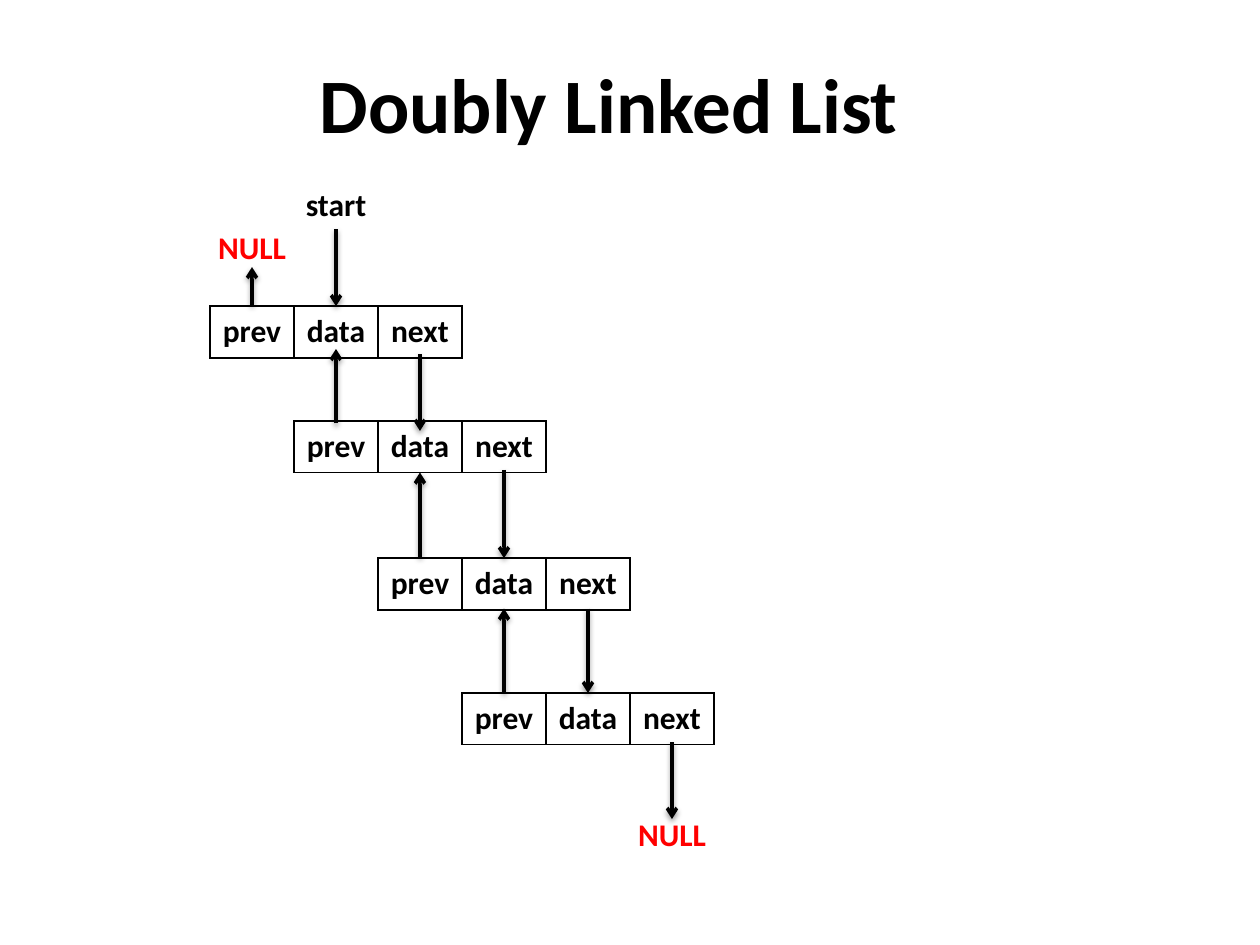
from lxml import etree
from pptx import Presentation
from pptx import util as u
from pptx.dml.color import RGBColor
from pptx.enum import shapes, text
from pptx.oxml import parse_xml
from pptx.oxml.ns import nsdecls, qn

COLUMN = 2 / 3
ROW = 0.41
FIELDS = ("prev", "data", "next")
NODE_TOPS = (2.43, 3.34, 4.43, 5.5)
NEXT_ARROWS = ((2.81, 3.42), (3.73, 4.43), (4.83, 5.5), (5.89, 6.5))
PREV_ARROWS = ((2.42, 2.12), (3.36, 2.77), (4.42, 3.75), (5.5, 4.83))
BLACK = "000000"
RED = "FF0000"


def color(value):
    """Turn a hex string into a colour."""
    return RGBColor.from_string(value)


def write(frame, wording, size=18, ink=BLACK):
    """Write one centred bold run into a text frame."""
    paragraph = frame.paragraphs[0]
    paragraph.alignment = text.PP_ALIGN.CENTER
    run = paragraph.add_run()
    run.text = wording
    run.font.name = "Calibri"
    run.font.size = u.Pt(size)
    run.font.bold = True
    run.font.color.rgb = color(ink)


def add_title(slide, wording):
    """Place and fill the title placeholder."""
    title = slide.shapes.title
    title.left, title.top = u.Inches(0.5), u.Inches(0.3)
    title.width, title.height = u.Inches(8.67), u.Inches(1.03)
    title.text_frame.vertical_anchor = text.MSO_ANCHOR.MIDDLE
    write(title.text_frame, wording, size=44)


def add_label(slide, column, top, wording, ink=BLACK):
    """Add a label centred on a grid column."""
    width = 1.25 * COLUMN
    label = slide.shapes.add_textbox(
        u.Inches(column * COLUMN - width / 2), u.Inches(top),
        u.Inches(width), u.Inches(0.4))
    label.text_frame.word_wrap = True
    label.text_frame.auto_size = text.MSO_AUTO_SIZE.SHAPE_TO_FIT_TEXT
    write(label.text_frame, wording, ink=ink)
    return label


def outline(cell):
    """Give a cell a thin black border on every side."""
    properties = cell._tc.get_or_add_tcPr()
    for side in ("lnL", "lnR", "lnT", "lnB"):
        properties.append(parse_xml(
            f'<a:{side} {nsdecls("a")} w="{u.Pt(1)}"><a:solidFill>'
            f'<a:srgbClr val="{BLACK}"/></a:solidFill></a:{side}>'))


def add_node(slide, column, top):
    """Add a list node with its three fields."""
    node = slide.shapes.add_table(
        1, len(FIELDS), u.Inches((column - 0.5) * COLUMN), u.Inches(top),
        u.Inches(len(FIELDS) * COLUMN), u.Inches(ROW)).table
    node.first_row = node.horz_banding = False
    for cell, field in zip(node.iter_cells(), FIELDS):
        outline(cell)
        cell.fill.background()
        write(cell.text_frame, field)


def add_pointer(slide, column, start, end):
    """Add a vertical shadowed arrow on a grid column."""
    x = u.Inches(column * COLUMN)
    pointer = slide.shapes.add_connector(
        shapes.MSO_CONNECTOR.STRAIGHT, x, u.Inches(start), x, u.Inches(end))
    pointer.line.color.rgb = color(BLACK)
    pointer.line.width = u.Pt(2)
    etree.SubElement(pointer.line._get_or_add_ln(), qn("a:tailEnd"), type="arrow")
    pointer._element.spPr.append(parse_xml(
        f'<a:effectLst {nsdecls("a")}><a:outerShdw blurRad="{u.Pt(3.1)}" '
        f'dist="{u.Pt(1.6)}" dir="5400000" rotWithShape="0">'
        f'<a:srgbClr val="{BLACK}"><a:alpha val="38000"/></a:srgbClr>'
        '</a:outerShdw></a:effectLst>'))
    return pointer


def main():
    """Build the linked list slide."""
    deck = Presentation()
    deck.slide_width, deck.slide_height = u.Inches(10), u.Inches(7.5)
    slide = deck.slides.add_slide(deck.slide_layouts[5])
    add_title(slide, "Doubly Linked List")
    for column, top in enumerate(NODE_TOPS, start=3):
        add_node(slide, column, top)
    start_label = add_label(slide, 4, 1.42, "start")
    start_pointer = add_pointer(slide, 4, 1.82, NODE_TOPS[0])
    start_pointer.begin_connect(start_label, 2)
    for column, ends in enumerate(NEXT_ARROWS, start=5):
        add_pointer(slide, column, *ends)
    for column, ends in enumerate(PREV_ARROWS, start=3):
        add_pointer(slide, column, *ends)
    add_label(slide, 8, 6.42, "NULL", RED)
    add_label(slide, 3, 1.76, "NULL", RED)
    deck.save("out.pptx")


if __name__ == "__main__":
    main()
